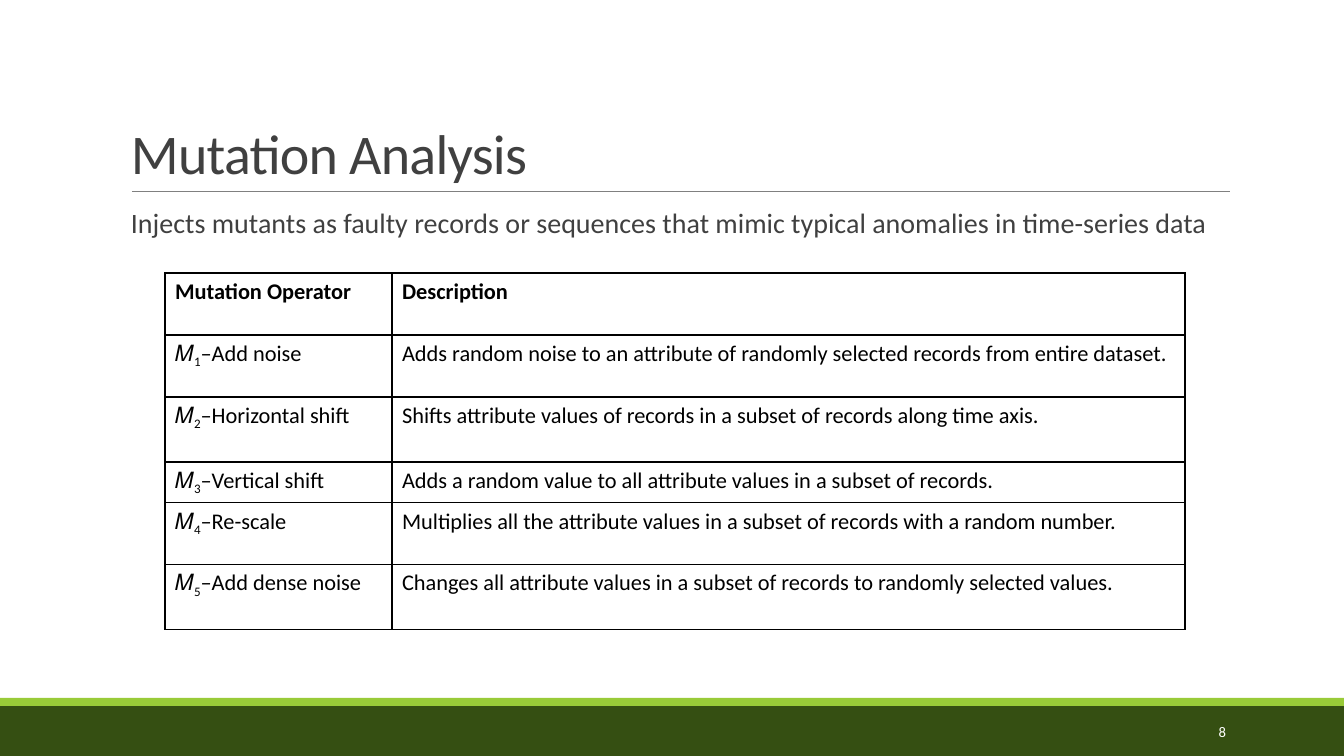
from dataclasses import dataclass

from lxml import etree
from pptx import Presentation
from pptx.dml.color import RGBColor
from pptx.enum.shapes import MSO_CONNECTOR, MSO_SHAPE
from pptx.enum.text import MSO_ANCHOR, PP_ALIGN
from pptx.oxml.ns import qn
from pptx.util import Emu, Inches, Pt

RECT = MSO_SHAPE.RECTANGLE
STRAIGHT = MSO_CONNECTOR.STRAIGHT
TOP, MIDDLE, BOTTOM = MSO_ANCHOR.TOP, MSO_ANCHOR.MIDDLE, MSO_ANCHOR.BOTTOM
LEFT, RIGHT = PP_ALIGN.LEFT, PP_ALIGN.RIGHT
PX_PER_INCH = 100.8


@dataclass(frozen=True)
class Theme:
    font: str = "Calibri"
    dark_green: str = "354F12"
    green: str = "99CB38"
    rule: str = "808080"
    text: str = "404040"
    black: str = "000000"
    white: str = "FFFFFF"
    title_size: float = 40
    body_size: float = 20
    table_size: float = 16
    number_size: float = 10.5
    rule_width: float = 0.5
    border_width: float = 0.96


def px(n):
    return Emu(round(n * Inches(1) / PX_PER_INCH))


def add_run(p, text, *, font, size, color, bold=False, spacing=0, baseline=0):
    r = p.add_run()
    r.text = text
    r.font.name = font
    r.font.size = Pt(size)
    r.font.bold = bold
    r.font.color.rgb = RGBColor.from_string(color)
    rPr = r.font._element
    if spacing:
        rPr.set("spc", str(round(spacing * 100)))
    if baseline:
        rPr.set("baseline", str(baseline * 1000))


class SlideBuilder:
    def __init__(self, slide, theme):
        self.s = slide
        self.theme = theme

    def bar(self, x, y, w, h, color):
        sp = self.s.shapes.add_shape(RECT, px(x), px(y), px(w), px(h))
        sp.shadow.inherit = False
        sp.fill.solid()
        sp.fill.fore_color.rgb = RGBColor.from_string(color)
        sp.line.fill.background()

    def line(self, x1, y1, x2, y2):
        cxn = self.s.shapes.add_connector(STRAIGHT, px(x1), px(y1), px(x2), px(y2))
        cxn.line.color.rgb = RGBColor.from_string(self.theme.rule)
        cxn.line.width = Pt(self.theme.rule_width)
        etree.SubElement(cxn._element.spPr, qn("a:effectLst"))

    def text(self, x, y, w, h, text, *, anchor=TOP, align=LEFT, leading=1.0, **fmt):
        sp = self.s.shapes.add_textbox(px(x), px(y), px(w), px(h))
        tf = sp.text_frame
        tf.word_wrap = True
        tf.vertical_anchor = anchor
        p = tf.paragraphs[0]
        p.alignment = align
        p.line_spacing = leading
        add_run(p, text, font=self.theme.font, **fmt)

    def border(self, cell):
        tcPr = cell._tc.get_or_add_tcPr()
        for i, side in enumerate(("lnL", "lnR", "lnT", "lnB")):
            ln = etree.Element(qn(f"a:{side}"), w=str(Pt(self.theme.border_width)))
            fill = etree.SubElement(ln, qn("a:solidFill"))
            etree.SubElement(fill, qn("a:srgbClr"), val=self.theme.black)
            tcPr.insert(i, ln)

    def table(self, x, y, widths, heights, rows):
        frame = self.s.shapes.add_table(
            len(rows), len(widths), px(x), px(y), px(sum(widths)), px(sum(heights)))
        tbl = frame.table
        tbl.first_row = tbl.horz_banding = False
        for col, w in zip(tbl.columns, widths):
            col.width = px(w)
        for i, (row, h) in enumerate(zip(rows, heights)):
            tbl.rows[i].height = px(h)
            for j, runs in enumerate(row):
                cell = tbl.cell(i, j)
                cell.fill.background()
                self.border(cell)
                for text, baseline in runs:
                    add_run(cell.text_frame.paragraphs[0], text,
                            font=self.theme.font, size=self.theme.table_size,
                            color=self.theme.black, bold=i == 0, baseline=baseline)


HEADER = ("Mutation Operator", "Description")
OPERATORS = [
    ("Add noise",
     "Adds random noise to an attribute of randomly selected records from entire dataset."),
    ("Horizontal shift",
     "Shifts attribute values of records in a subset of records along time axis."),
    ("Vertical shift",
     "Adds a random value to all attribute values in a subset of records."),
    ("Re-scale",
     "Multiplies all the attribute values in a subset of records with a random number."),
    ("Add dense noise",
     "Changes all attribute values in a subset of records to randomly selected values."),
]


def main():
    prs = Presentation()
    prs.slide_width, prs.slide_height = px(1344), px(756)
    theme = Theme()
    s = SlideBuilder(prs.slides.add_slide(prs.slide_layouts[6]), theme)

    s.bar(0, 706, 1344, 50, theme.dark_green)
    s.bar(0, 698, 1344, 8, theme.green)
    s.line(132, 191, 1230, 191)
    s.text(121, 31, 1109, 160, "Mutation Analysis", anchor=BOTTOM, leading=0.85,
           size=theme.title_size, color=theme.text, spacing=-0.5)
    s.text(121, 204, 1109, 443,
           "Injects mutants as faulty records or sequences that mimic "
           "typical anomalies in time-series data",
           leading=0.9, size=theme.body_size, color=theme.text)
    s.text(1092, 712, 144, 40, "8", anchor=MIDDLE, align=RIGHT,
           size=theme.number_size, color=theme.white)

    rows = [[[(title, 0)] for title in HEADER]]
    for n, (name, description) in enumerate(OPERATORS, 1):
        operator = [("\U0001d440", 0), (str(n), -25), (f"–{name}", 0)]
        rows.append([operator, [(description, 0)]])
    s.table(165, 273, (227, 793), (62, 62, 65, 39, 62, 65), rows)

    prs.save("out.pptx")


main()
